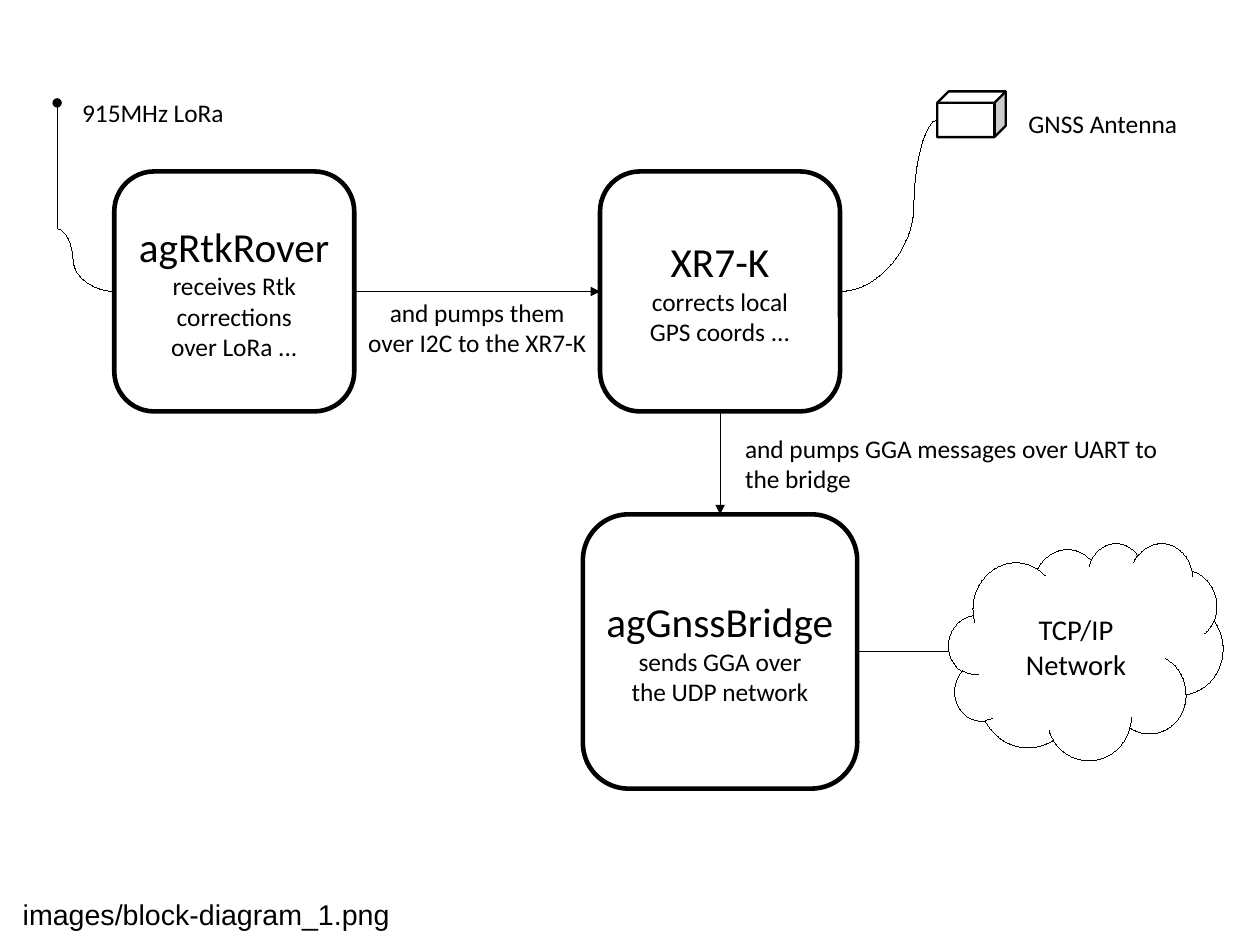
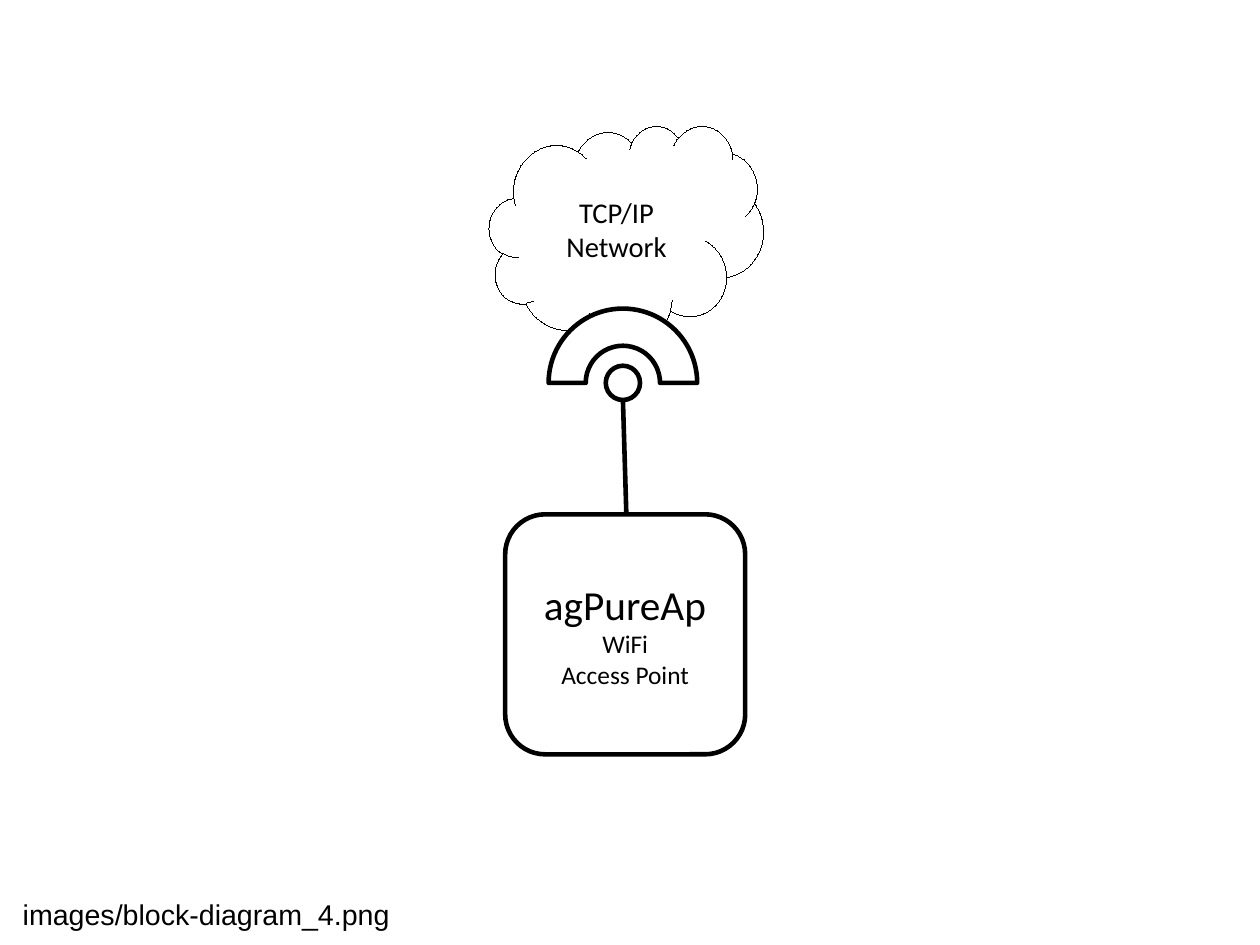
import pptx
import pptx.util
import pptx.dml.color
import pptx.enum.shapes
import pptx.enum.text
import pptx.oxml.ns
from lxml import etree

COLORS = {"ink": "000000", "paper": "FFFFFF"}
FONT, CAPTION_FONT = "Calibri", "Arial"
TITLE_SIZE, BODY_SIZE, LARGE_SIZE = 26, 16, 18
HAIRLINE, MEDIUM, BOLD = 0, 1.45, 2.89
SLIDE_W_CM, SLIDE_H_CM = 28, 21
CELL = 0.1
NODE, CLOUD_W, CLOUD_H = 21, 24, 19

SHAPE = pptx.enum.shapes.MSO_SHAPE
CONNECTOR = pptx.enum.shapes.MSO_CONNECTOR
ALIGN = pptx.enum.text.PP_ALIGN
ANCHOR = pptx.enum.text.MSO_ANCHOR
TOP, LEFT, BOTTOM, RIGHT = range(4)


def grid(*cells):
    return [pptx.util.Inches(round(n * CELL, 2)) for n in cells]


def rgb(name):
    return pptx.dml.color.RGBColor.from_string(COLORS[name])


def child(parent, tag, **attrs):
    return etree.SubElement(parent, pptx.oxml.ns.qn(tag), **attrs)


def draw_line(line, width):
    line.color.rgb = rgb("ink")
    ln = line._get_or_add_ln()
    ln.set("w", str(int(pptx.util.Pt(width))))
    child(ln, "a:round")
    return ln


def write(tf, lines, sizes, font=FONT, align=ALIGN.LEFT):
    tf.text = "\n".join(lines)
    for p, size in zip(tf.paragraphs, sizes):
        p.alignment = align
        for r in p.runs:
            r.font.name = font
            r.font.size = pptx.util.Pt(size)
            r.font.color.rgb = rgb("ink")


def add_outlined(shapes, kind, x, y, w, h, width):
    sp = shapes.add_shape(kind, *grid(x, y, w, h))
    sp.shadow.inherit = False
    sp.fill.solid()
    sp.fill.fore_color.rgb = rgb("paper")
    draw_line(sp.line, width)
    return sp


def add_centred(shapes, kind, cx, cy, w, h, width, lines, sizes):
    sp = add_outlined(shapes, kind, cx - w / 2, cy - h / 2, w, h, width)
    tf = sp.text_frame
    tf.word_wrap = False
    tf.vertical_anchor = ANCHOR.MIDDLE
    write(tf, lines, sizes, align=ALIGN.CENTER)
    return sp


def add_node(shapes, cx, cy, title, *body, size=NODE):
    sizes = [TITLE_SIZE] + [BODY_SIZE] * len(body)
    return add_centred(shapes, SHAPE.ROUNDED_RECTANGLE, cx, cy, size, size,
                       BOLD, [title, *body], sizes)


def add_cloud(shapes, cx, cy):
    return add_centred(shapes, SHAPE.CLOUD, cx, cy, CLOUD_W, CLOUD_H,
                       HAIRLINE, ["TCP/IP", "Network"], [LARGE_SIZE] * 2)


def add_link(shapes, start, end, width=HAIRLINE, head=None, tail=None, bend=None):
    kind = CONNECTOR.STRAIGHT if bend is None else CONNECTOR.CURVE
    cxn = shapes.add_connector(kind, *grid(*start, *end))
    ln = draw_line(cxn.line, width)
    for tag, arrow in (("a:headEnd", head), ("a:tailEnd", tail)):
        if arrow:
            child(ln, tag, type=arrow)
    props = cxn._element.spPr
    child(props, "a:effectLst")
    if bend is not None:
        guides = props.find(".//" + pptx.oxml.ns.qn("a:avLst"))
        child(guides, "a:gd", name="adj1", fmla=f"val {round(bend * 100000)}")
    return cxn


def join(shapes, source, source_site, target, target_site):
    cxn = add_link(shapes, (0, 0), (1, 1), tail="triangle")
    cxn.begin_connect(source, source_site)
    cxn.end_connect(target, target_site)


def add_label(shapes, text, x, y, w, h, size=BODY_SIZE, font=FONT,
              align=ALIGN.LEFT, wrap=True):
    tf = shapes.add_textbox(*grid(x, y, w, h)).text_frame
    tf.word_wrap = wrap
    tf.auto_size = pptx.enum.text.MSO_AUTO_SIZE.SHAPE_TO_FIT_TEXT
    write(tf, [text], [size], font, align)


def add_diagram(prs, caption):
    s = prs.slides.add_slide(prs.slide_layouts[6])
    add_label(s.shapes, caption, 1, 78, 34.1, 3.8, LARGE_SIZE, CAPTION_FONT, wrap=False)
    return s.shapes


def build_rover_slide(prs):
    shapes = add_diagram(prs, "images/block-diagram_1.png")
    top_row, low_row, mid_col = 25.5, 57, 63
    rover = add_node(shapes, 20.5, top_row, "agRtkRover",
                     "receives Rtk", "corrections", "over LoRa ...")
    bridge = add_node(shapes, mid_col, low_row, "agGnssBridge",
                      "sends GGA over", "the UDP network", size=24)
    receiver = add_node(shapes, mid_col, top_row, "XR7-K",
                        "corrects local", "GPS coords ...")
    join(shapes, rover, RIGHT, receiver, LEFT)
    join(shapes, receiver, BOTTOM, bridge, TOP)
    add_label(shapes, "and pumps them over I2C to the XR7-K",
              31, top_row, 21.5, 10, align=ALIGN.CENTER)
    add_label(shapes, "and pumps GGA messages over UART to the bridge",
              64.2, 37.4, 39.8, 7.6)

    add_outlined(shapes, SHAPE.CUBE, 82, 8, 6, 4, MEDIUM)
    add_link(shapes, (82, 10.5), (73.5, top_row), bend=0.24)
    add_label(shapes, "GNSS Antenna", 89, 9, 19, 4)

    add_link(shapes, (5, 9), (5, 20), head="oval")
    add_link(shapes, (5, 20), (10, top_row), bend=0.28)
    add_label(shapes, "915MHz LoRa", 6.2, 8, 39.8, 4)

    add_cloud(shapes, 95, low_row)
    add_link(shapes, (75, low_row), (83, low_row))


def build_access_point_slide(prs):
    shapes = add_diagram(prs, "images/block-diagram_4.png")
    centre, mast_x, mast_y = 54.75, 54.5, 33.5
    add_node(shapes, centre, 55.5, "agPureAp", "WiFi", "Access Point")
    add_cloud(shapes, centre, 20.5)
    add_link(shapes, (centre, 45), (mast_x, 35), BOLD)
    antenna = shapes.add_group_shape().shapes
    for kind, size in ((SHAPE.OVAL, 3), (SHAPE.BLOCK_ARC, 13)):
        add_outlined(antenna, kind, mast_x - size / 2, mast_y - size / 2,
                     size, size, BOLD)


def main():
    prs = pptx.Presentation()
    prs.slide_width = pptx.util.Cm(SLIDE_W_CM)
    prs.slide_height = pptx.util.Cm(SLIDE_H_CM)
    build_rover_slide(prs)
    build_access_point_slide(prs)
    prs.save("out.pptx")


if __name__ == "__main__":
    main()
